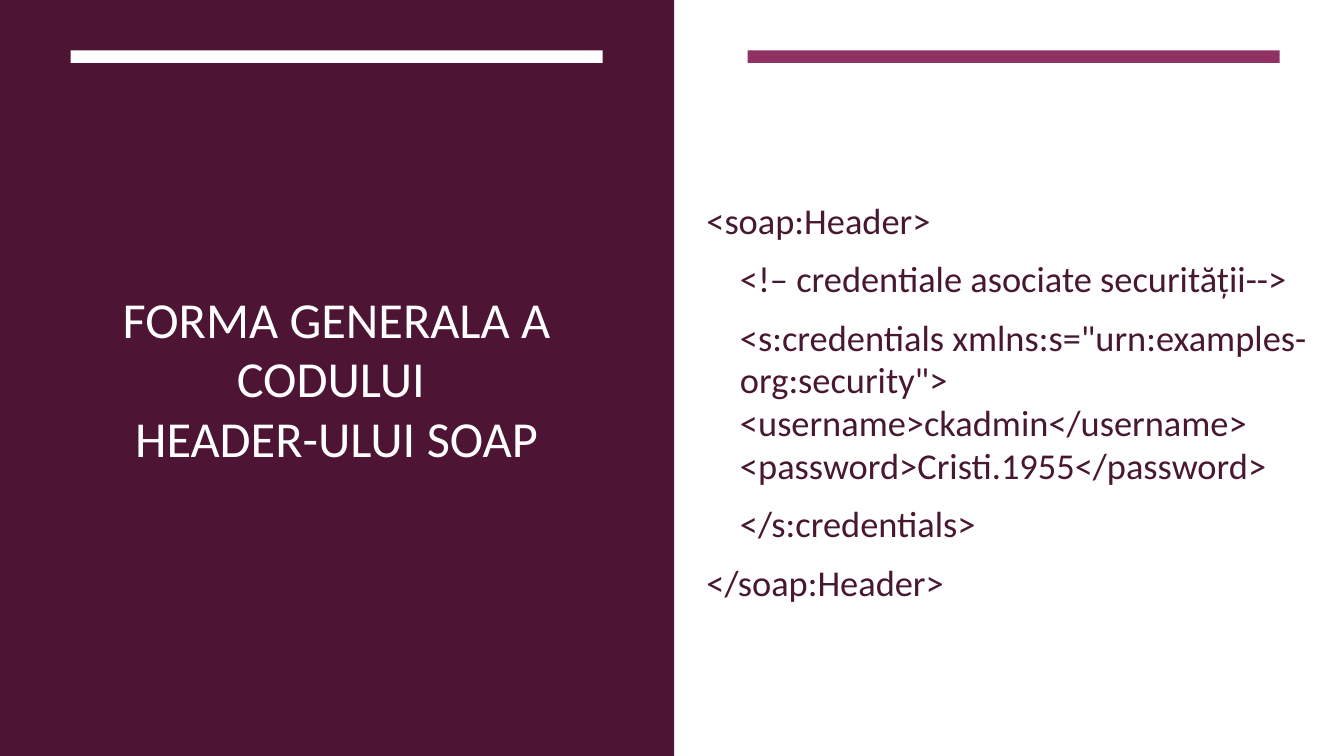
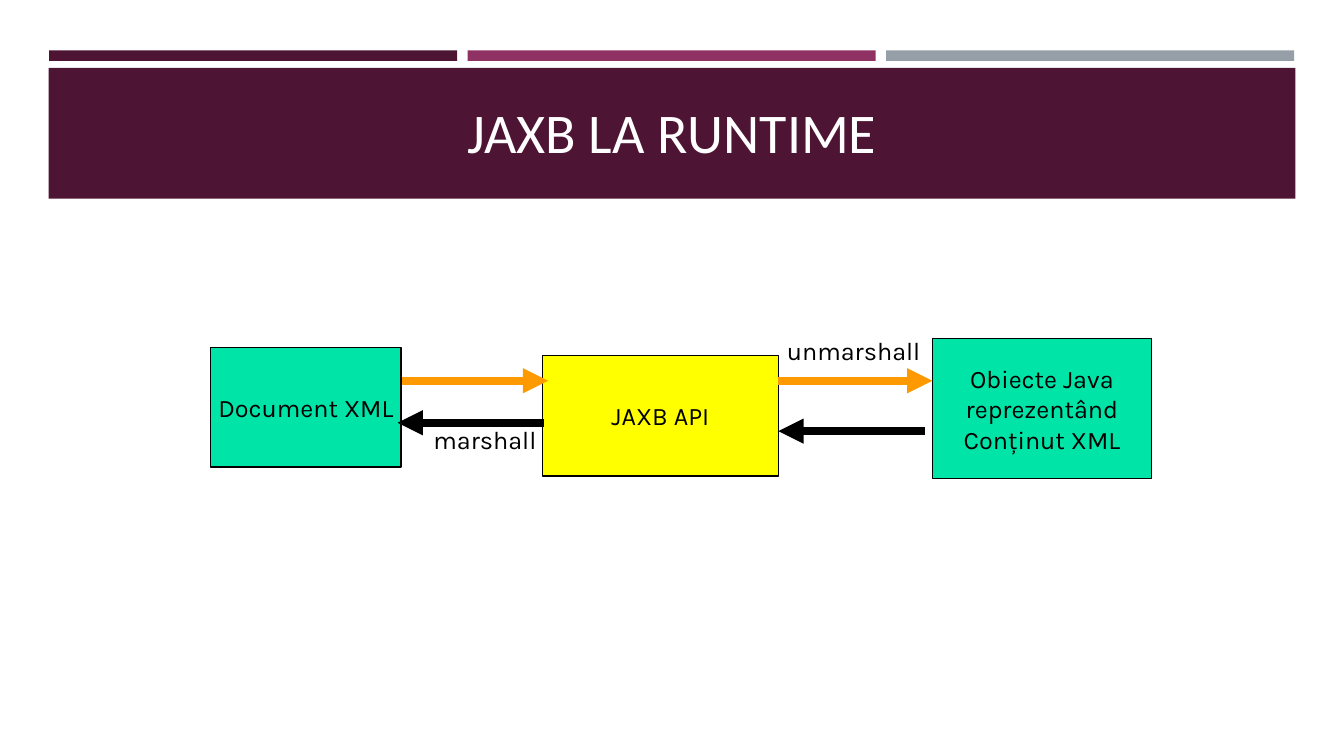
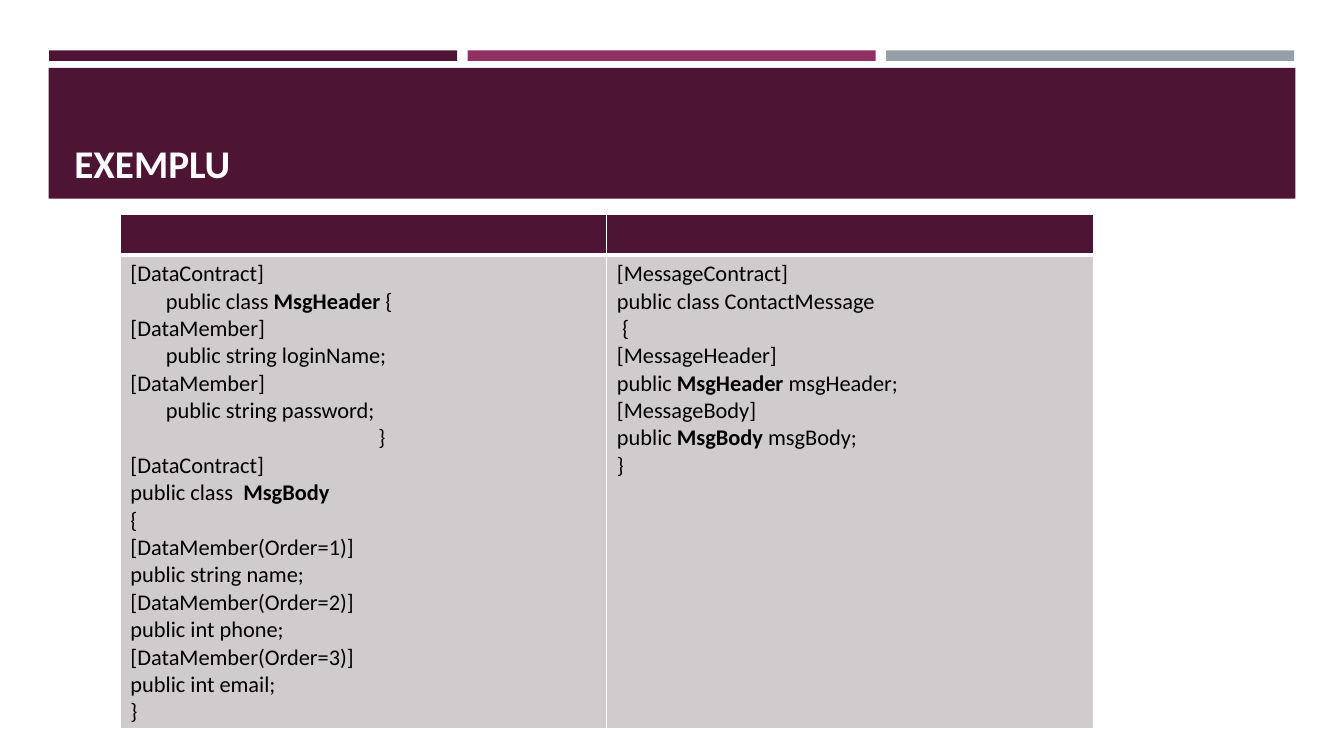
import pptx
import pptx.util
import pptx.dml.color
import pptx.enum.shapes
import pptx.enum.text
import pptx.oxml.ns
import lxml.etree

Pt = pptx.util.Pt
RGB = pptx.dml.color.RGBColor
ALIGN = pptx.enum.text.PP_ALIGN
ANCHOR = pptx.enum.text.MSO_ANCHOR
qn = pptx.oxml.ns.qn

PLUM = RGB(0x4D, 0x14, 0x34)
ROSE = RGB(0x90, 0x31, 0x63)
STEEL = RGB(0x96, 0x9F, 0xA7)
WINE = RGB(0x48, 0x18, 0x31)
MINT = RGB(0x00, 0xE4, 0xA8)
YELLOW = RGB(0xFF, 0xFF, 0x00)
ORANGE = RGB(0xFF, 0x99, 0x00)
GREY = RGB(0xD0, 0xCC, 0xCE)
BLACK = RGB(0, 0, 0)
WHITE = RGB(0xFF, 0xFF, 0xFF)


def block(slide, area, fill, edge=None):
    shape = slide.shapes.add_shape(
        pptx.enum.shapes.MSO_SHAPE.RECTANGLE, *map(Pt, area))
    shape.shadow.inherit = False
    shape.fill.solid()
    shape.fill.fore_color.rgb = fill
    if edge is None:
        shape.line.fill.background()
    else:
        shape.line.color.rgb = edge
        shape.line.width = Pt(1)
    return shape


def write(frame, lines, size, color, font="Calibri", align=ALIGN.LEFT,
          anchor=ANCHOR.TOP, wrap=True, gaps=(0, 0), pitch=1.0):
    """Fill a frame with (indent, text) lines; *stars* mark bold words."""
    frame.word_wrap = wrap
    frame.vertical_anchor = anchor
    for i, (indent, text) in enumerate(lines):
        para = frame.add_paragraph() if i else frame.paragraphs[0]
        para.alignment = align
        para.line_spacing = pitch
        para.space_before, para.space_after = map(Pt, gaps)
        if indent:
            props = para._p.get_or_add_pPr()
            props.set("marL", str(Pt(indent)))
            props.set("indent", "0")
        for j, row in enumerate(text.split("\n")):
            if j:
                para.add_line_break()
            for k, part in enumerate(row.split("*")):
                if part:
                    run = para.add_run()
                    run.text = part
                    run.font.name = font
                    run.font.size = Pt(size)
                    run.font.bold = k % 2 == 1
                    run.font.color.rgb = color


deck = pptx.Presentation()
deck.slide_width, deck.slide_height = Pt(960), Pt(540)
blank = deck.slide_layouts[6]
code, flow, sample = [deck.slides.add_slide(blank) for _ in range(3)]

# Split slide: title on the left, SOAP header on the right
block(code, (0, 0, 481.5, 540), PLUM)
for left, fill in ((50.5, WHITE), (534, ROSE)):
    block(code, (left, 36, 380, 9), fill)
title = code.shapes.add_textbox(Pt(50.5), Pt(81.5), Pt(380), Pt(380))
write(title.text_frame, [(0, "FORMA GENERALA A CODULUI \nHEADER-ULUI SOAP")],
      36, WHITE, align=ALIGN.CENTER, anchor=ANCHOR.MIDDLE, pitch=0.98)
body = code.shapes.add_textbox(Pt(497.5), Pt(81.5), Pt(448.5), Pt(412))
write(body.text_frame, [
    (0, "<soap:Header>"),
    (24, "<!– credentiale asociate securității-->"),
    (24, '<s:credentials xmlns:s="urn:examples-org:security">\n'
         "<username>ckadmin</username>\n"
         "<password>Cristi.1955</password>"),
    (24, "</s:credentials>"),
    (0, "</soap:Header>"),
], 26, WINE, anchor=ANCHOR.MIDDLE, gaps=(5.2, 6), pitch=0.98)

# Bands and title shared by the other two slides
for slide, text, size, align, high in (
        (flow, "JAXB LA RUNTIME", 40, ALIGN.CENTER, 66),
        (sample, "*EXEMPLU*", 28, ALIGN.LEFT, 81)):
    for i, fill in enumerate((PLUM, ROSE, STEEL)):
        block(slide, (35 + i * 299, 36, 291.5, 7.5), fill)
    block(slide, (34.75, 48.5, 890.5, 93.5), PLUM)
    title = slide.shapes.add_textbox(Pt(46), Pt(55.5), Pt(868), Pt(high))
    write(title.text_frame, [(0, text)], size, WHITE, align=align,
          anchor=ANCHOR.BOTTOM)

# JAXB flow
for area, fill, names in (
        ((150.5, 248.25, 136, 85.5), MINT, ["Document XML"]),
        ((387.5, 254, 168.5, 86), YELLOW, ["JAXB API"]),
        ((666, 242, 156.5, 100), MINT,
         ["Obiecte Java", "reprezentând", "Conținut XML"])):
    node = block(flow, area, fill, BLACK)
    write(node.text_frame, [(0, name) for name in names], 18, BLACK, "Karla",
          ALIGN.CENTER, ANCHOR.MIDDLE, wrap=False)

for start, end, y, color in (
        (287, 391.5, 272, ORANGE), (556, 666, 272, ORANGE),
        (660.5, 556, 308, BLACK), (388.5, 284, 302, BLACK)):
    arrow = flow.shapes.add_connector(
        pptx.enum.shapes.MSO_CONNECTOR.STRAIGHT,
        Pt(start), Pt(y), Pt(end), Pt(y))
    arrow.line.color.rgb = color
    arrow.line.width = Pt(6)
    lxml.etree.SubElement(arrow.line._get_or_add_ln(), qn("a:tailEnd"),
                          type="triangle")
    lxml.etree.SubElement(arrow._element.spPr, qn("a:effectLst"))

for text, x, y, wide in (("unmarshall", 555, 236, 111),
                         ("marshall", 302.5, 299.5, 88.5)):
    label = flow.shapes.add_textbox(Pt(x), Pt(y), Pt(wide), Pt(29.5))
    write(label.text_frame, [(0, text)], 18, BLACK, "Karla")

# Contract table
header = [
    (0, "[DataContract]"),
    (25.3, "public class *MsgHeader* {"),
    (0, "[DataMember]"),
    (25.3, "public string loginName;"),
    (0, "[DataMember]"),
    (25.3, "public string password;"),
    (177, "}"),
    (0, "[DataContract]"),
    (0, "public class  *MsgBody*"),
    (0, "{"),
    (0, "[DataMember(Order=1)]"),
    (0, "public string name;"),
    (0, "[DataMember(Order=2)]"),
    (0, "public int phone;"),
    (0, "[DataMember(Order=3)]"),
    (0, "public int email;"),
    (0, "}"),
]
message = [
    (0, "[MessageContract]"),
    (0, "public class ContactMessage"),
    (3.6, "{"),
    (0, "[MessageHeader]"),
    (0, "public *MsgHeader* msgHeader;"),
    (0, "[MessageBody]"),
    (0, "public *MsgBody* msgBody;"),
    (0, "}"),
]
grid = sample.shapes.add_table(
    2, 2, Pt(86), Pt(153.5), Pt(695), Pt(366)).table
grid.rows[0].height, grid.rows[1].height = Pt(28), Pt(338)
for r, (fill, texts) in enumerate(((PLUM, ([], [])),
                                   (GREY, (header, message)))):
    for c, lines in enumerate(texts):
        cell = grid.cell(r, c)
        props = cell._tc.get_or_add_tcPr()
        for side in ("lnL", "lnR", "lnT", "lnB"):
            thick = (r, side) in ((0, "lnB"), (1, "lnT"))
            edge = lxml.etree.SubElement(props, qn("a:" + side),
                                         w=str(Pt(3 if thick else 1)))
            paint = lxml.etree.SubElement(edge, qn("a:solidFill"))
            lxml.etree.SubElement(paint, qn("a:srgbClr"), val=str(WHITE))
        cell.fill.solid()
        cell.fill.fore_color.rgb = fill
        write(cell.text_frame, lines, 16, BLACK)

deck.save("out.pptx")
